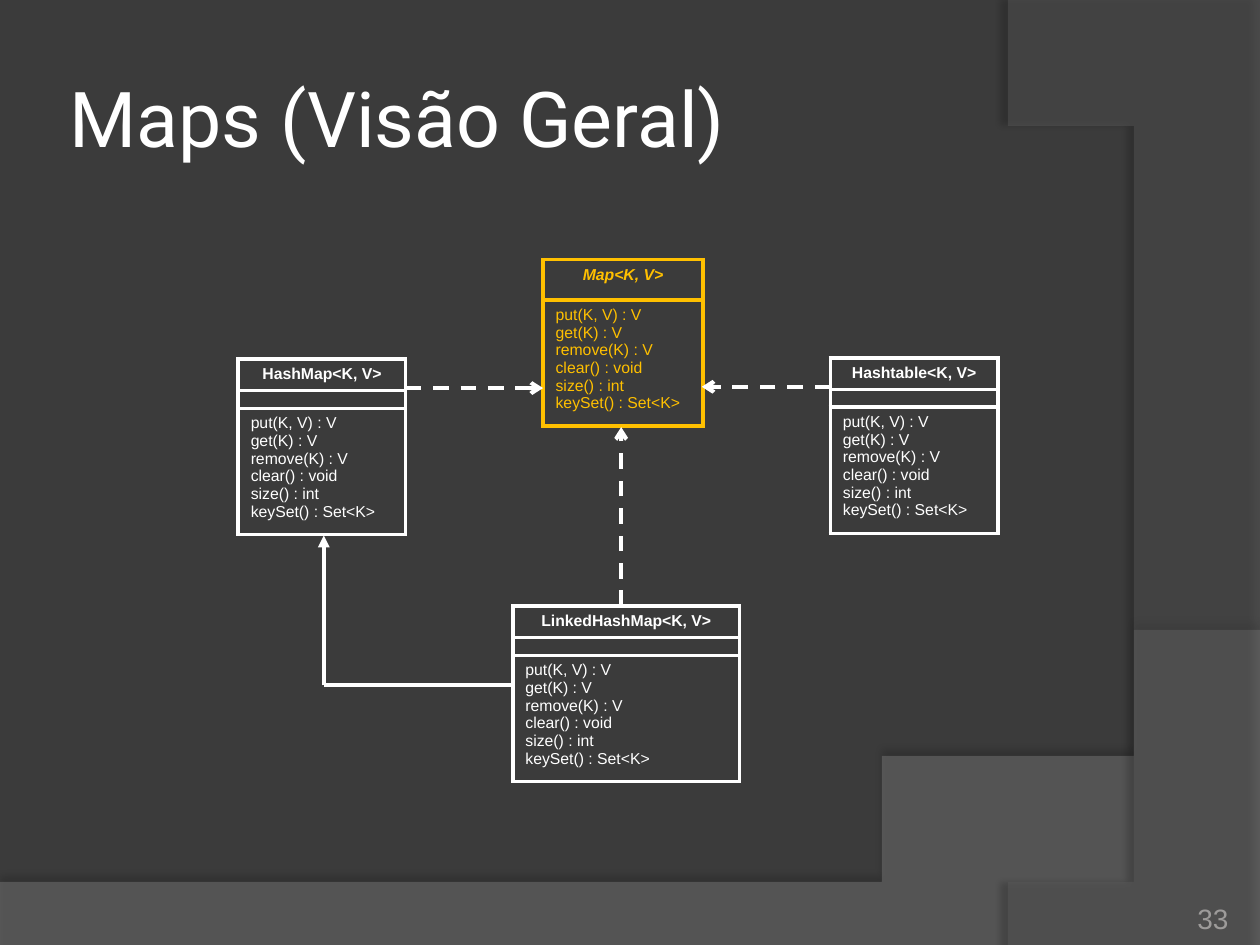
import lxml.etree
import pptx
import pptx.chart.data
import pptx.dml.color
import pptx.enum.dml
import pptx.enum.shapes
import pptx.enum.text
import pptx.oxml
import pptx.oxml.ns
import pptx.util

Inches = pptx.util.Inches
Pt = pptx.util.Pt
RGBColor = pptx.dml.color.RGBColor
ALIGN = pptx.enum.text.PP_ALIGN
ANCHOR = pptx.enum.text.MSO_ANCHOR
DASH = pptx.enum.dml.MSO_LINE.DASH

BACKGROUND = RGBColor(0x3B, 0x3B, 0x3B)
WAVE = RGBColor(0x7F, 0x7F, 0x7F)
ARC = RGBColor(0x5E, 0x5E, 0x5E)
WHITE = RGBColor(0xFF, 0xFF, 0xFF)
AMBER = RGBColor(0xFF, 0xC0, 0x00)
NUMBER_GRAY = RGBColor(0x9D, 0x9B, 0x9A)

STROKE = Pt(2.25)
METHODS = [
    "put(K, V) : V",
    "get(K) : V",
    "remove(K) : V",
    "clear() : void",
    "size() : int",
    "keySet() : Set<K>",
]
METHODS_HEIGHT = 0.94
FIELDS_HEIGHT = 0.14


def add_xml(parent, tag, **attributes):
    """Append a DrawingML element with the given attributes."""
    element = lxml.etree.SubElement(parent, pptx.oxml.ns.qn(tag))
    for key, value in attributes.items():
        element.set(key, str(value))
    return element


def write_text(frame, lines, size, color, font="Arial", align=ALIGN.LEFT, bold=False, italic=False):
    """Write one paragraph per line with a shared format."""
    frame.text = "\n".join(lines)
    for paragraph in frame.paragraphs:
        paragraph.alignment = align
        for run in paragraph.runs:
            run.font.name = font
            run.font.size = Pt(size)
            run.font.bold = bold
            run.font.italic = italic
            run.font.color.rgb = color


def add_label(slide, box, text, margin, anchor, **text_format):
    """Add a text box holding one line."""
    frame = slide.shapes.add_textbox(*map(Inches, box)).text_frame
    frame.word_wrap = True
    frame.vertical_anchor = anchor
    frame.margin_left = frame.margin_right = Inches(margin)
    frame.margin_top = frame.margin_bottom = Inches(margin)
    write_text(frame, [text], **text_format)


def bezier(start, first, second, end, steps=60):
    """Return points along a cubic curve, after its start."""
    points = []
    for step in range(1, steps + 1):
        t = step / steps
        weights = ((1 - t) ** 3, 3 * t * (1 - t) ** 2, 3 * t * t * (1 - t), t ** 3)
        points.append(tuple(
            sum(weight * value for weight, value in zip(weights, axis))
            for axis in zip(start, first, second, end)
        ))
    return points


def add_swoosh(slide, corners, curve, color, opacity, shadow_opacity, distance, direction):
    """Add a translucent area bounded by corners and a curve, with a shadow."""
    outline = corners + [curve[0]] + bezier(*curve)
    builder = slide.shapes.build_freeform(*outline[0], scale=Inches(1))
    builder.add_line_segments(outline[1:], close=True)
    swoosh = builder.convert_to_shape()
    swoosh.fill.solid()
    swoosh.fill.fore_color.rgb = color
    swoosh.line.fill.background()
    swoosh.shadow.inherit = False
    properties = swoosh.element.spPr
    fill_color = properties.find(".//" + pptx.oxml.ns.qn("a:srgbClr"))
    add_xml(fill_color, "a:alpha", val=opacity * 1000)
    shadow = add_xml(
        properties.find(pptx.oxml.ns.qn("a:effectLst")), "a:outerShdw",
        blurRad=Pt(4), dist=Pt(distance), dir=direction * 60000, rotWithShape=0,
    )
    shadow_color = add_xml(shadow, "a:srgbClr", val="000000")
    add_xml(shadow_color, "a:alpha", val=shadow_opacity * 1000)


def add_backdrop(slide, width, height):
    """Paint the background with its wave and arc."""
    slide.background.fill.solid()
    slide.background.fill.fore_color.rgb = BACKGROUND
    add_swoosh(
        slide, [(0, height), (width, height)],
        [(width, 5.2), (5.59, 7.29), (3.91, 7.19), (0, 7.05)],
        WAVE, opacity=45, shadow_opacity=35, distance=3.5, direction=270,
    )
    add_swoosh(
        slide, [(width, 0.02), (width, height)],
        [(8.21, height), (9.35, 6.19), (10.18, 3), (8, 0)],
        ARC, opacity=40, shadow_opacity=45, distance=4, direction=180,
    )


def add_borders(cell, color):
    """Draw all four borders of a cell."""
    properties = cell._tc.get_or_add_tcPr()
    for side in ("a:lnL", "a:lnR", "a:lnT", "a:lnB"):
        border = add_xml(properties, side, w=STROKE)
        add_xml(add_xml(border, "a:solidFill"), "a:srgbClr", val=color)


def add_class(slide, left, top, width, name, color=WHITE, interface=False):
    """Add a UML class; an interface has no fields compartment."""
    heights = [0.32, METHODS_HEIGHT] if interface else [0.25, FIELDS_HEIGHT, METHODS_HEIGHT]
    table = slide.shapes.add_table(
        len(heights), 1, Inches(left), Inches(top), Inches(width), Inches(sum(heights))
    ).table
    table.first_row = table.horz_banding = False
    for row, height in zip(table.rows, heights):
        row.height = Inches(height)
        add_borders(row.cells[0], color)
        row.cells[0].fill.background()
    write_text(table.cell(0, 0).text_frame, [name], 9, color,
               align=ALIGN.CENTER, bold=True, italic=interface)
    write_text(table.cell(len(heights) - 1, 0).text_frame, METHODS, 9, color)
    if not interface:
        fields = table.cell(1, 0)
        fields.margin_top = fields.margin_bottom = 0
        fields.text_frame.paragraphs[0].font.size = Pt(6)


def add_relation(slide, start, end, head=None, dashed=False):
    """Draw a straight relation line with an optional arrowhead."""
    relation = slide.shapes.add_connector(
        pptx.enum.shapes.MSO_CONNECTOR.STRAIGHT, *map(Inches, start + end)
    )
    relation.line.color.rgb = WHITE
    relation.line.width = STROKE
    if dashed:
        relation.line.dash_style = DASH
    if head:
        add_xml(relation.line._get_or_add_ln(), "a:tailEnd", type=head)
    add_xml(relation.element.spPr, "a:effectLst")


def add_diagram(slide, left, top):
    """Place the map classes and their relations from a top left corner."""
    classes = [
        (2.42, 0, 1.27, "Map<K, V>", AMBER, True),
        (0, 0.79, 1.33, "HashMap<K, V>"),
        (2.18, 2.75, 1.8, "LinkedHashMap<K, V>"),
        (4.7, 0.78, 1.33, "Hashtable<K, V>"),
    ]
    for x, y, *details in classes:
        add_class(slide, left + x, top + y, *details)
    implementations = [
        ((1.33, 1.02), (2.42, 1.02)),
        ((4.7, 1.01), (3.68, 1.01)),
        ((3.04, 2.75), (3.04, 1.33)),
    ]
    inheritance = [((0.68, 3.38), (0.68, 2.19), "triangle"), ((2.18, 3.38), (0.68, 3.38), None)]
    relations = [(*ends, "arrow", True) for ends in implementations]
    relations += [(*part, False) for part in inheritance]
    for start, end, head, dashed in relations:
        add_relation(slide, (left + start[0], top + start[1]),
                     (left + end[0], top + end[1]), head, dashed)


def main():
    """Build and save the slide."""
    width, height = 10, 7.5
    deck = pptx.Presentation()
    deck.slide_width, deck.slide_height = Inches(width), Inches(height)
    slide = deck.slides.add_slide(deck.slide_layouts[6])
    add_backdrop(slide, width, height)
    add_label(slide, (0.5, 0.3, 8.17, 1.25), "Maps (Visão Geral)", 0.05, ANCHOR.MIDDLE,
              size=44, color=WHITE, font="Roboto")
    add_label(slide, (8.92, 7.02, 0.83, 0.4), "33", 0, ANCHOR.BOTTOM,
              size=16, color=NUMBER_GRAY, align=ALIGN.RIGHT)
    add_diagram(slide, 1.89, 2.06)
    deck.save("out.pptx")


if __name__ == "__main__":
    main()
